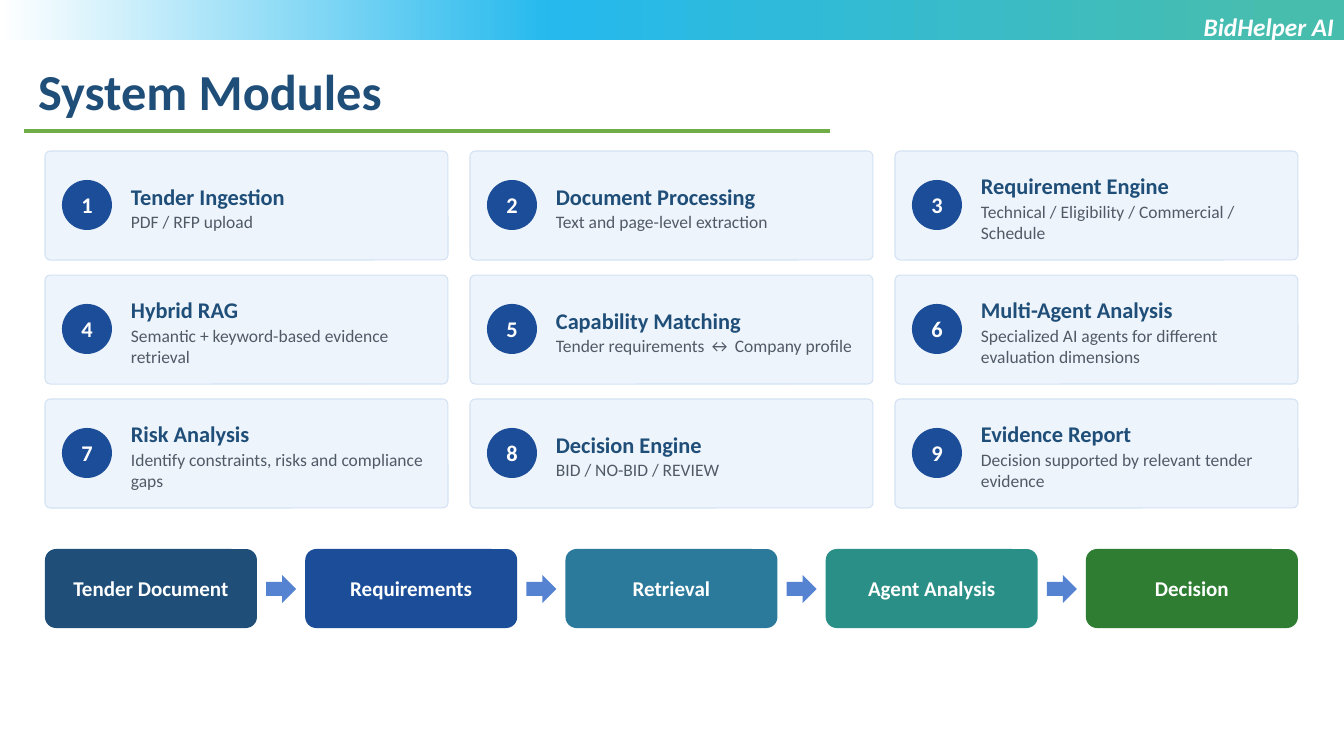
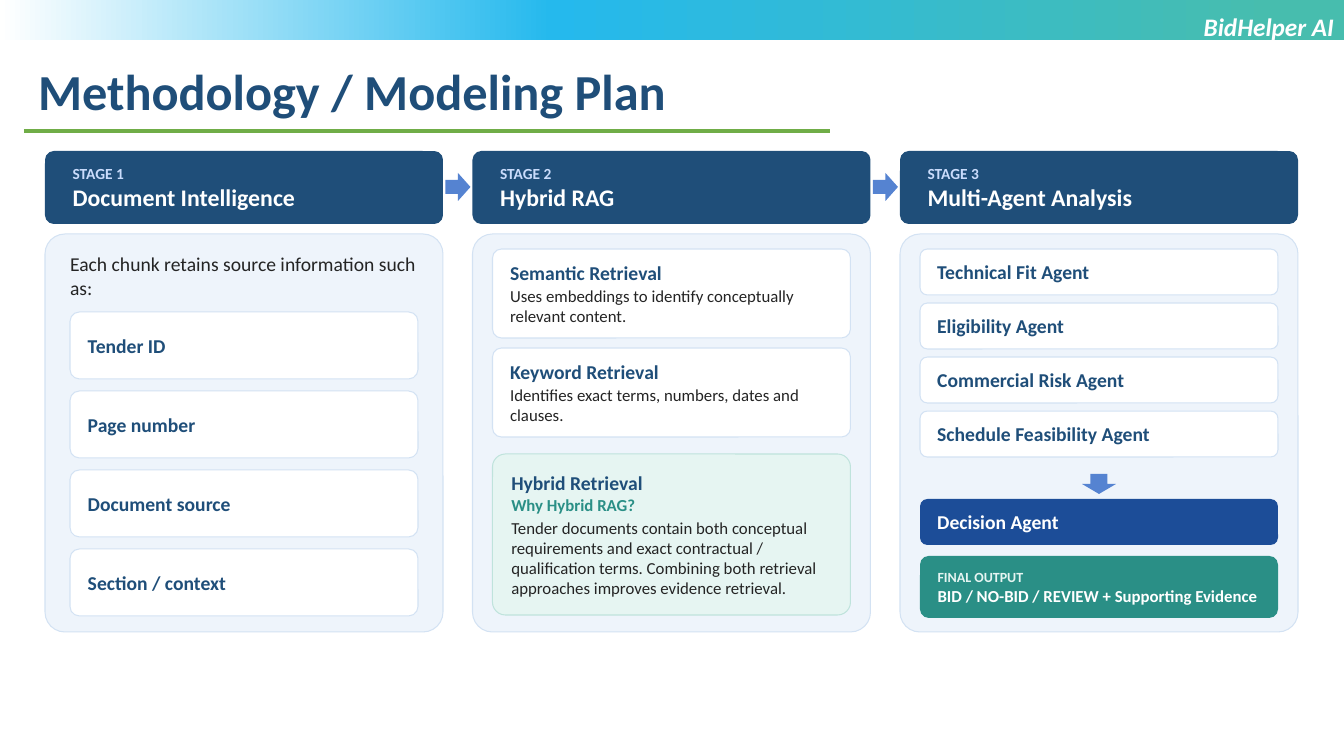
"""Build the two slides on system modules and the modeling plan."""
from copy import deepcopy
from dataclasses import dataclass

from pptx import Presentation, util as u
from pptx.dml.color import RGBColor
from pptx.enum import shapes, text
from pptx.oxml import ns, xmlchemy

KIND = shapes.MSO_SHAPE
ALIGN = text.PP_ALIGN
ANCHOR = text.MSO_ANCHOR
PX = 12192000 / 1344


@dataclass(frozen=True)
class Theme:
    font: str = "Calibri"
    navy: str = "1F4E79"
    blue: str = "1C4D98"
    steel: str = "2C7A9B"
    teal: str = "2A8F86"
    green: str = "2E7D32"
    rule: str = "70AD47"
    arrow: str = "5583D1"
    panel: str = "EEF4FB"
    edge: str = "D3E2F3"
    mint: str = "E6F5F2"
    mint_edge: str = "BFE3DC"
    pale: str = "CADCFC"
    ink: str = "242424"
    gray: str = "505A66"
    white: str = "FFFFFF"
    band: tuple = ((0.05, "47BDAE"), (0.59, "25B9ED"), (1, "FFFFFF"))
    title: float = 36
    brand: float = 18
    stage: float = 17
    head: float = 16
    step: float = 15
    item: float = 14
    detail: float = 12.5
    note: float = 12
    label: float = 11
    tag: float = 10


T = Theme()


def add(s, kind, box, fill=None, line=None, adj=None):
    x, y, w, h = [u.Emu(round(v * PX)) for v in box]
    if kind is None:
        return s.shapes.add_textbox(x, y, w, h)
    sp = s.shapes.add_shape(kind, x, y, w, h)
    sp.shadow.inherit = False
    if fill:
        sp.fill.solid()
        sp.fill.fore_color.rgb = RGBColor.from_string(fill)
    if line:
        sp.line.color.rgb = RGBColor.from_string(line)
        sp.line.width = u.Pt(0.75)
    else:
        sp.line.fill.background()
    if adj:
        sp.adjustments[0] = adj
    return sp


def write(sp, paras, ins=(0, 0, 0, 0), align=ALIGN.LEFT, anchor=ANCHOR.MIDDLE):
    tf = sp.text_frame
    frame = {"word_wrap": True, "vertical_anchor": anchor}
    sides = ("margin_left", "margin_top", "margin_right", "margin_bottom")
    frame.update({side: u.Emu(round(v * PX)) for side, v in zip(sides, ins)})
    for name, value in frame.items():
        setattr(tf, name, value)
    for i, (words, size, color, fmt) in enumerate(paras):
        p = tf.add_paragraph() if i else tf.paragraphs[0]
        p.alignment = align
        p.space_after = u.Pt(fmt.get("after", 0))
        r = p.add_run()
        r.text = words
        font = {"name": T.font, "size": u.Pt(size), "bold": fmt.get("bold", True),
                "italic": fmt.get("italic", False)}
        for name, value in font.items():
            setattr(r.font, name, value)
        r.font.color.rgb = RGBColor.from_string(color)


prs = Presentation()
prs.slide_width, prs.slide_height = u.Emu(12192000), u.Emu(6858000)

LEFT, TOP, WIDTH = 45, 151, 1253
PLAIN = {"bold": False}
SPACED = {"after": 1}

pages = []
for title in ("System Modules", "Methodology / Modeling Plan"):
    s = prs.slides.add_slide(prs.slide_layouts[6])
    pages.append(s)
    band = add(s, KIND.RECTANGLE, (0, 0, 1344, 40))
    band.fill.gradient()
    band.fill.gradient_angle = 180
    stops = band._element.spPr.find(".//" + ns.qn("a:gsLst"))
    stops.append(deepcopy(stops[0]))
    for stop, (position, color) in zip(band.fill.gradient_stops, T.band):
        stop.position = position
        stop.color.rgb = RGBColor.from_string(color)
    write(add(s, None, (28, 55, 1171, 72)), [(title, T.title, T.navy, {})],
          (10, 5, 10, 5), anchor=ANCHOR.TOP)
    ends = [u.Emu(round(v * PX)) for v in (24, 131, 830, 131)]
    rule = s.shapes.add_connector(shapes.MSO_CONNECTOR.STRAIGHT, *ends)
    rule.line.color.rgb = RGBColor.from_string(T.rule)
    rule.line.width = u.Pt(2.25)
    rule._element.spPr.append(xmlchemy.OxmlElement("a:effectLst"))
    write(add(s, None, (671, 6, 673, 72)),
          [("BidHelper AI", T.brand, T.white, {"italic": True})],
          (10, 5, 10, 5), ALIGN.RIGHT, ANCHOR.TOP)

modules, plan = pages

cards = [
    ("Tender Ingestion", "PDF / RFP upload"),
    ("Document Processing", "Text and page-level extraction"),
    ("Requirement Engine", "Technical / Eligibility / Commercial / Schedule"),
    ("Hybrid RAG", "Semantic + keyword-based evidence retrieval"),
    ("Capability Matching", "Tender requirements ↔ Company profile"),
    ("Multi-Agent Analysis", "Specialized AI agents for different evaluation dimensions"),
    ("Risk Analysis", "Identify constraints, risks and compliance gaps"),
    ("Decision Engine", "BID / NO-BID / REVIEW"),
    ("Evidence Report", "Decision supported by relevant tender evidence"),
]
for i, (name, detail) in enumerate(cards):
    x, y = LEFT + i % 3 * 425, TOP + i // 3 * 124
    add(modules, KIND.ROUNDED_RECTANGLE, (x, y, 403, 109), T.panel, T.edge, 0.05)
    write(add(modules, KIND.OVAL, (x + 17, y + 29, 50, 50), T.blue),
          [(str(i + 1), T.head, T.white, {})], align=ALIGN.CENTER)
    write(add(modules, None, (x + 86, y + 12, 305, 89)),
          [(name, T.head, T.navy, SPACED), (detail, T.detail, T.gray, PLAIN)])

steps = [("Tender Document", T.navy), ("Requirements", T.blue), ("Retrieval", T.steel),
         ("Agent Analysis", T.teal), ("Decision", T.green)]
step_w = 212
for i, (name, color) in enumerate(steps):
    x = LEFT + i * (WIDTH - step_w) / (len(steps) - 1)
    if i:
        add(modules, KIND.RIGHT_ARROW, (x - 39, 575, 30, 28), T.arrow)
    write(add(modules, KIND.ROUNDED_RECTANGLE, (x, 549, step_w, 79), color, adj=0.14),
          [(name, T.step, T.white, {})], (5, 3, 5, 3), ALIGN.CENTER)

stages = ["Document Intelligence", "Hybrid RAG", "Multi-Agent Analysis"]
stage_w = 398
columns = [LEFT + i * (WIDTH - stage_w) / 2 for i in range(3)]
for i, (x, name) in enumerate(zip(columns, stages)):
    if i:
        add(plan, KIND.RIGHT_ARROW, (x - 27, 173, 25, 28), T.arrow)
    write(add(plan, KIND.ROUNDED_RECTANGLE, (x, TOP, stage_w, 73), T.navy, adj=0.12),
          [(f"STAGE {i + 1}", T.label, T.pale, {}), (name, T.stage, T.white, {})],
          (25, 4, 10, 4))
    add(plan, KIND.ROUNDED_RECTANGLE, (x, 234, stage_w, 398), T.panel, T.edge, 0.05)

x = columns[0] + 25
write(add(plan, None, (x, 252, 348, 60)),
      [("Each chunk retains source information such as:", T.item, T.ink, PLAIN)],
      anchor=ANCHOR.TOP)
for i, name in enumerate(["Tender ID", "Page number", "Document source", "Section / context"]):
    write(add(plan, KIND.ROUNDED_RECTANGLE, (x, 312 + i * 79, 348, 67), T.white, T.edge, 0.14),
          [(name, T.item, T.navy, {})], (15, 3, 10, 3))

x = columns[1] + 20
methods = [
    ("Semantic Retrieval", "Uses embeddings to identify conceptually relevant content."),
    ("Keyword Retrieval", "Identifies exact terms, numbers, dates and clauses."),
]
for i, (name, detail) in enumerate(methods):
    write(add(plan, KIND.ROUNDED_RECTANGLE, (x, 249 + i * 99, 358, 89), T.white, T.edge, 0.1),
          [(name, T.item, T.navy, SPACED), (detail, T.note, T.ink, PLAIN)], (15, 4, 10, 4))
reason = ("Tender documents contain both conceptual requirements and exact contractual / "
          "qualification terms. Combining both retrieval approaches improves evidence retrieval.")
write(add(plan, KIND.ROUNDED_RECTANGLE, (x, 454, 358, 161), T.mint, T.mint_edge, 0.08),
      [("Hybrid Retrieval", T.item, T.navy, {}),
       ("Why Hybrid RAG?", T.note, T.teal, {"after": 2}),
       (reason, T.note, T.ink, PLAIN)], (15, 5, 12, 5))

x = columns[2] + 20
agents = ["Technical Fit Agent", "Eligibility Agent", "Commercial Risk Agent",
          "Schedule Feasibility Agent"]
rows = [(name, 249 + i * 54, T.white, T.edge, T.navy) for i, name in enumerate(agents)]
rows.append(("Decision Agent", 499, T.blue, None, T.white))
for name, y, fill, line, color in rows:
    write(add(plan, KIND.ROUNDED_RECTANGLE, (x, y, 358, 46), fill, line, 0.16),
          [(name, T.item, color, {})], (15, 2, 10, 2))
add(plan, KIND.DOWN_ARROW, (x + 162, 474, 34, 20), T.arrow)
write(add(plan, KIND.ROUNDED_RECTANGLE, (x, 556, 358, 62), T.teal, adj=0.14),
      [("FINAL OUTPUT", T.tag, T.mint, {}),
       ("BID / NO-BID / REVIEW + Supporting Evidence", T.note, T.white, {})], (15, 3, 10, 3))

prs.save("out.pptx")
